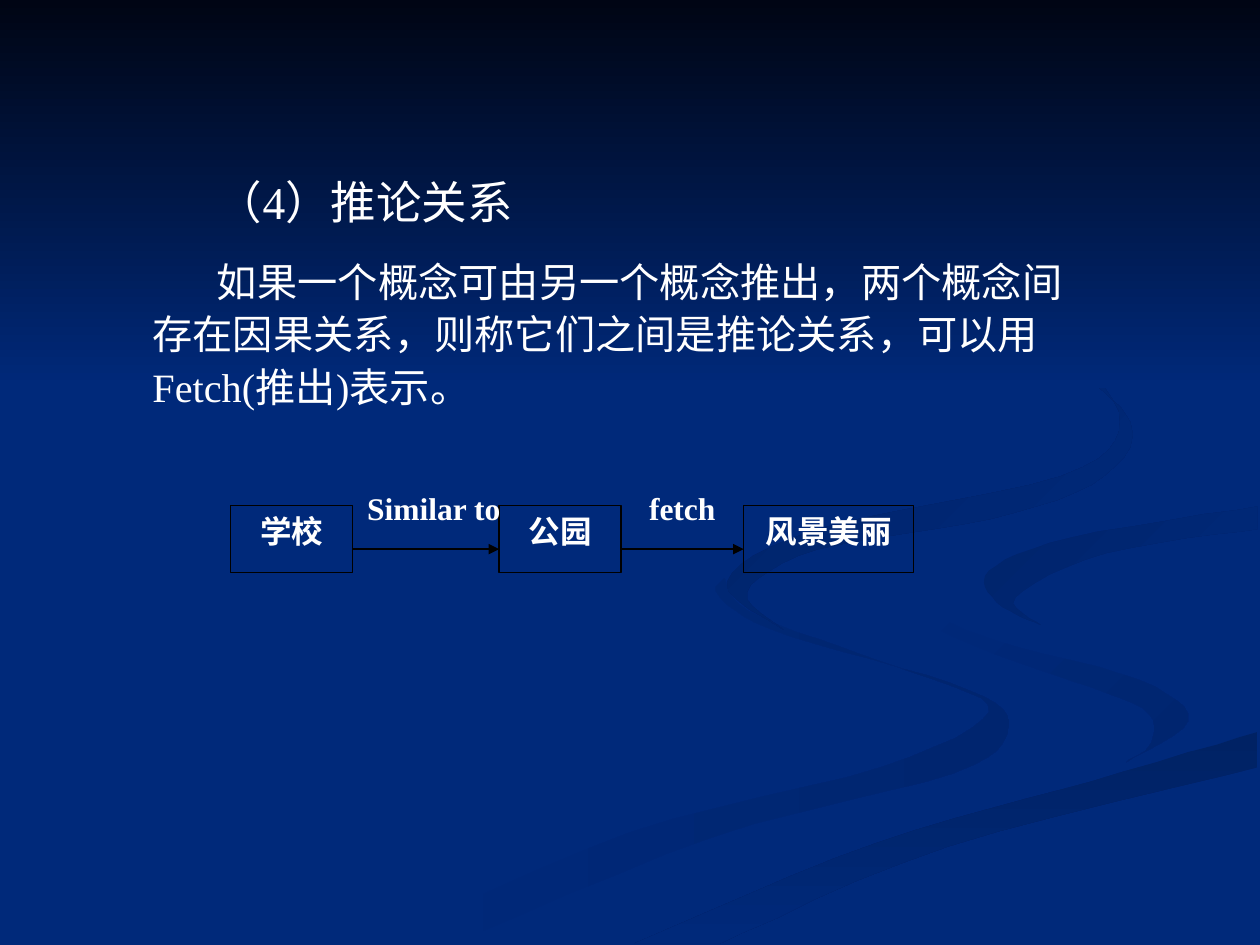
from lxml import etree
from pptx import Presentation
from pptx.dml.color import RGBColor
from pptx.enum.shapes import MSO_CONNECTOR, MSO_SHAPE
from pptx.enum.text import MSO_ANCHOR, MSO_AUTO_SIZE, PP_ALIGN
from pptx.oxml.ns import qn
from pptx.util import Cm, Pt

CENTER, LEFT = PP_ALIGN.CENTER, PP_ALIGN.LEFT
RECT, STRAIGHT = MSO_SHAPE.RECTANGLE, MSO_CONNECTOR.STRAIGHT
FONT = "Times New Roman"
WHITE = RGBColor(0xFF, 0xFF, 0xFF)
BLACK = RGBColor(0x00, 0x00, 0x00)
NIGHT = RGBColor(0x00, 0x05, 0x14)
BLUE = RGBColor(0x00, 0x29, 0x7A)
SHADE = RGBColor(0x00, 0x25, 0x6F)
DEEP = RGBColor(0x00, 0x22, 0x64)
MIDDLE = RGBColor(0x00, 0x24, 0x6B)
DARK = RGBColor(0x00, 0x23, 0x67)

HEADING = "（4）推论关系"
BODY = "如果一个概念可由另一个概念推出，两个概念间存在因果关系，则称它们之间是推论关系，可以用Fetch(推出)表示。"

# Concept boxes: text, left, width (cm)
NODES = [("学校", 4.65, 2.46), ("公园", 10.06, 2.46), ("风景美丽", 14.99, 3.43)]
NODE_TOP, NODE_H = 10.19, 1.35
ARROW_Y = 11.07
# Relation labels: text, left (cm)
LABELS = [("Similar to ", 7.11), ("fetch", 12.04)]
LABEL_TOP, LABEL_W = 9.73, 3.43

# Background ribbons: gradient colours, angle, then the knots of the curve
# down one edge and back along the other, in thousandths of the slide width
RIBBONS = [
    (BLUE, SHADE, 0,
     [(575, 459), (570, 472), (611, 499), (728, 535), (785, 565), (699, 609),
      (499, 661), (300, 749)],
     [(361, 749), (564, 665), (756, 614), (800, 581), (781, 553), (682, 519),
      (594, 485), (575, 459)]),
    (BLUE, SHADE, 45,
     [(724, 464), (746, 500), (838, 536), (907, 562), (914, 589), (894, 605)],
     [(894, 605), (943, 572), (905, 540), (792, 509), (733, 483), (724, 464)]),
    (DEEP, BLUE, 90,
     [(503, 749), (696, 669), (867, 620), (998, 581)],
     [(998, 609), (752, 672), (571, 749)]),
    (MIDDLE, BLUE, 45,
     [(998, 402), (849, 427), (785, 453), (791, 478), (826, 496)],
     [(826, 496), (806, 474), (878, 439), (998, 420)]),
    (DARK, BLUE, 45,
     [(762, 233), (846, 279), (889, 335), (842, 378), (649, 420), (577, 462),
      (622, 500)],
     [(622, 500), (593, 470), (649, 436), (786, 412), (876, 378), (890, 324),
      (762, 233)]),
]


def smooth(knots, steps=6):
    """Points of a Catmull-Rom curve through the knots."""
    ends = [knots[0], *knots, knots[-1]]
    points = [knots[0]]
    for a, b, c, d in zip(ends, ends[1:], ends[2:], ends[3:]):
        for t in (i / steps for i in range(1, steps + 1)):
            points.append(tuple(
                q + t * (r - p + t * (2 * p - 5 * q + 4 * r - u
                                      + t * (3 * q - p - 3 * r + u))) / 2
                for p, q, r, u in zip(a, b, c, d)))
    return points


def shade(sp, first, last, angle):
    """Fill with a gradient at a clockwise angle, without outline."""
    sp.shadow.inherit = False
    sp.line.fill.background()
    sp.fill.gradient()
    sp.fill.gradient_angle = (360 - angle) % 360
    for stop, color in zip(sp.fill.gradient_stops, (first, last)):
        stop.color.rgb = color


def write(p, text, size=18, bold=False, align=CENTER):
    p.alignment = align
    r = p.add_run()
    r.text = text
    r.font.name, r.font.size, r.font.bold = FONT, Pt(size), bold
    r.font.color.rgb = WHITE


def indent_first_line(p):
    pPr = p._p.get_or_add_pPr()
    pPr.set("marL", str(Cm(0.28)))
    pPr.set("indent", str(Cm(1.3)))
    etree.SubElement(pPr, qn("a:buNone"))


def add_label(sp, text):
    tf = sp.text_frame
    tf.word_wrap = True
    tf.vertical_anchor = MSO_ANCHOR.TOP
    write(tf.paragraphs[0], text, bold=True)


def add_arrow(shapes, x1, x2, y):
    line = shapes.add_connector(STRAIGHT, Cm(x1), Cm(y), Cm(x2), Cm(y))
    line.line.color.rgb = BLACK
    line.line.width = Pt(0.75)
    ln = line._element.spPr.find(qn("a:ln"))
    etree.SubElement(ln, qn("a:tailEnd"), type="triangle")
    etree.SubElement(line._element.spPr, qn("a:effectLst"))


prs = Presentation()
prs.slide_width, prs.slide_height = Cm(25.4), Cm(19.05)
s = prs.slides.add_slide(prs.slide_layouts[1])
s.background.fill.solid()
s.background.fill.fore_color.rgb = BLUE
shapes = s.shapes
title, body = shapes.title, s.placeholders[1]
title._element.getparent().remove(title._element)

for first, last, angle, edge, way_back in RIBBONS:
    points = smooth(edge) + smooth(way_back)
    builder = shapes.build_freeform(*points[0], scale=prs.slide_width / 1000)
    builder.add_line_segments(points[1:], close=True)
    shade(builder.convert_to_shape(), first, last, angle)
band = shapes.add_shape(RECT, 0, 0, prs.slide_width, Cm(7.82))
shade(band, NIGHT, BLUE, 90)

shapes._spTree.append(body._element)  # bring the text above the background
body.left, body.top, body.width, body.height = Cm(2.54), Cm(3.38), Cm(19.89), Cm(14.81)
tf = body.text_frame
tf.auto_size = MSO_AUTO_SIZE.NONE
heading, text = tf.paragraphs[0], tf.add_paragraph()
for p in (heading, text):
    indent_first_line(p)
heading.space_before = Pt(0)
text.space_before, text.line_spacing = Pt(14), Pt(30)
write(heading, HEADING, size=26, align=LEFT)
write(text, BODY, size=23, align=LEFT)

for name, left, width in NODES:
    sp = shapes.add_shape(RECT, Cm(left), Cm(NODE_TOP), Cm(width), Cm(NODE_H))
    sp.shadow.inherit = False
    sp.fill.background()
    sp.line.color.rgb = BLACK
    sp.line.width = Pt(0.75)
    add_label(sp, name)
for (_, left, width), (_, next_left, _) in zip(NODES, NODES[1:]):
    add_arrow(shapes, left + width, next_left, ARROW_Y)
for name, left in LABELS:
    add_label(shapes.add_textbox(Cm(left), Cm(LABEL_TOP), Cm(LABEL_W), Cm(NODE_H)), name)

prs.save("out.pptx")
